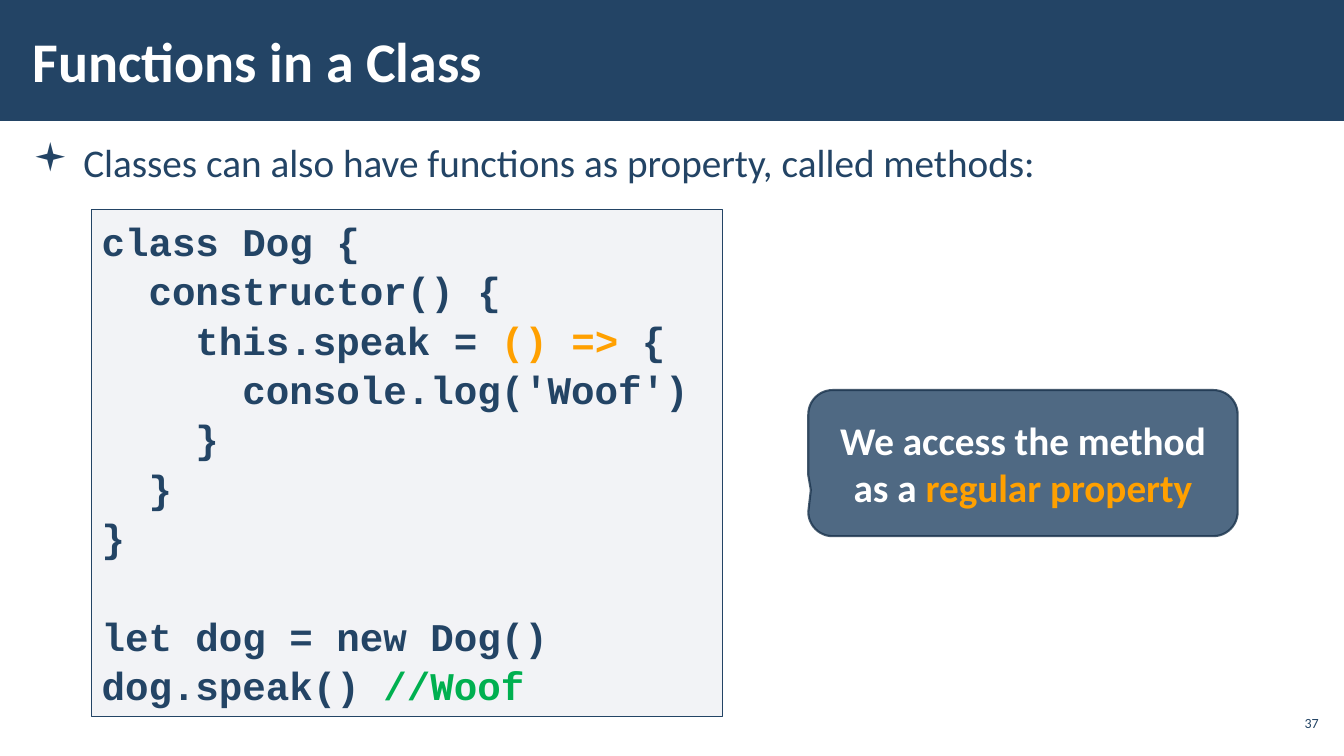
from lxml.etree import SubElement
from pptx import Presentation
from pptx.dml.color import RGBColor
from pptx.enum.shapes import MSO_SHAPE
from pptx.enum.text import MSO_ANCHOR, PP_ALIGN
from pptx.oxml.ns import qn
from pptx.util import Pt

NAVY, WHITE, AMBER, GREEN = "234465", "FFFFFF", "FFA000", "00B050"


def paint(form, color, alpha=100):
    form.solid()
    form.fore_color.rgb = RGBColor.from_string(color)
    if alpha < 100:
        tint = form._xPr.find(qn("a:solidFill"))[0]
        SubElement(tint, qn("a:alpha"), val=str(alpha * 1000))


def write(shape, lines, font="Calibri", size=28, color=NAVY, bold=False,
          align=PP_ALIGN.LEFT, anchor=MSO_ANCHOR.TOP, pad=(7.2, 3.6),
          space=1, gaps={}, bullet=None):
    frame = shape.text_frame
    frame.word_wrap = True
    frame.vertical_anchor = anchor
    frame.margin_left = frame.margin_right = Pt(pad[0])
    frame.margin_top = frame.margin_bottom = Pt(pad[1])
    for row, line in enumerate(lines):
        para = frame.paragraphs[0] if row == 0 else frame.add_paragraph()
        para.alignment = align
        para.line_spacing = space
        if row in gaps:
            para.space_before = Pt(gaps[row])
        if bullet:
            props = para._p.get_or_add_pPr()
            props.set("marL", str(Pt(36)))
            props.set("indent", str(Pt(-36)))
            SubElement(props, qn("a:buFont"), typeface="Wingdings")
            SubElement(props, qn("a:buChar"), char=bullet)
        for text, tone in line:
            run = para.add_run()
            run.text = text
            run.font.name = font
            run.font.size = Pt(size)
            run.font.bold = bold
            run.font.color.rgb = RGBColor.from_string(tone or color)


deck = Presentation()
deck.slide_width, deck.slide_height = Pt(960), Pt(540)
slide = deck.slides.add_slide(deck.slide_layouts[6])
shapes = slide.shapes

band = shapes.add_shape(MSO_SHAPE.RECTANGLE, 0, 0, Pt(960), Pt(86.4))
band.shadow.inherit = False
paint(band.fill, NAVY)
band.line.fill.background()

body = shapes.add_textbox(Pt(15), Pt(94.3), Pt(930), Pt(409.7))
write(body, [[("Classes can also have functions as property, called methods:", None)]],
      pad=(8.5, 2.8), space=1.05, bullet="▪")

title = shapes.add_textbox(Pt(15), Pt(8), Pt(749), Pt(70))
write(title, [[("Functions in a Class", None)]], size=40, color=WHITE, bold=True,
      anchor=MSO_ANCHOR.MIDDLE, pad=(8.5, 2.8))

number = shapes.add_textbox(Pt(911), Pt(504), Pt(33.8), Pt(24.5))
write(number, [[("37", None)]], size=10, align=PP_ALIGN.RIGHT,
      anchor=MSO_ANCHOR.MIDDLE, pad=(2.8, 2.8))

note = shapes.add_shape(MSO_SHAPE.ROUNDED_RECTANGULAR_CALLOUT,
                        Pt(577.4), Pt(278.6), Pt(306.7), Pt(104.4))
note.adjustments[0] = -0.494
note.adjustments[1] = 0.184
note.adjustments[2] = 0.167
note.shadow.inherit = False
paint(note.fill, NAVY, 80)
paint(note.line.fill, "1A334C", 80)
note.line.width = Pt(1.5)
write(note, [[("We access the method as a ", None), ("regular property", AMBER)]],
      color=WHITE, bold=True, align=PP_ALIGN.CENTER, anchor=MSO_ANCHOR.MIDDLE)

panel = shapes.add_shape(MSO_SHAPE.RECTANGLE, Pt(65.5), Pt(149.8), Pt(450.7), Pt(362.2))
panel.shadow.inherit = False
paint(panel.fill, "ADB4C3", 15)
paint(panel.line.fill, NAVY)
panel.line.width = Pt(1)
code = [
    [("class Dog {", None)],
    [("  constructor() {", None)],
    [("    this.speak = ", None), ("() =>", AMBER), (" {", None)],
    [("      console.log('Woof')", None)],
    [("    }", None)],
    [("  }", None)],
    [("}", None)],
    [("let dog = new Dog()", None)],
    [("dog.speak() ", None), ("//Woof", GREEN)],
]
write(panel, code, font="Courier New", bold=True, space=1.05, gaps={7: 35.3})

deck.save("out.pptx")
